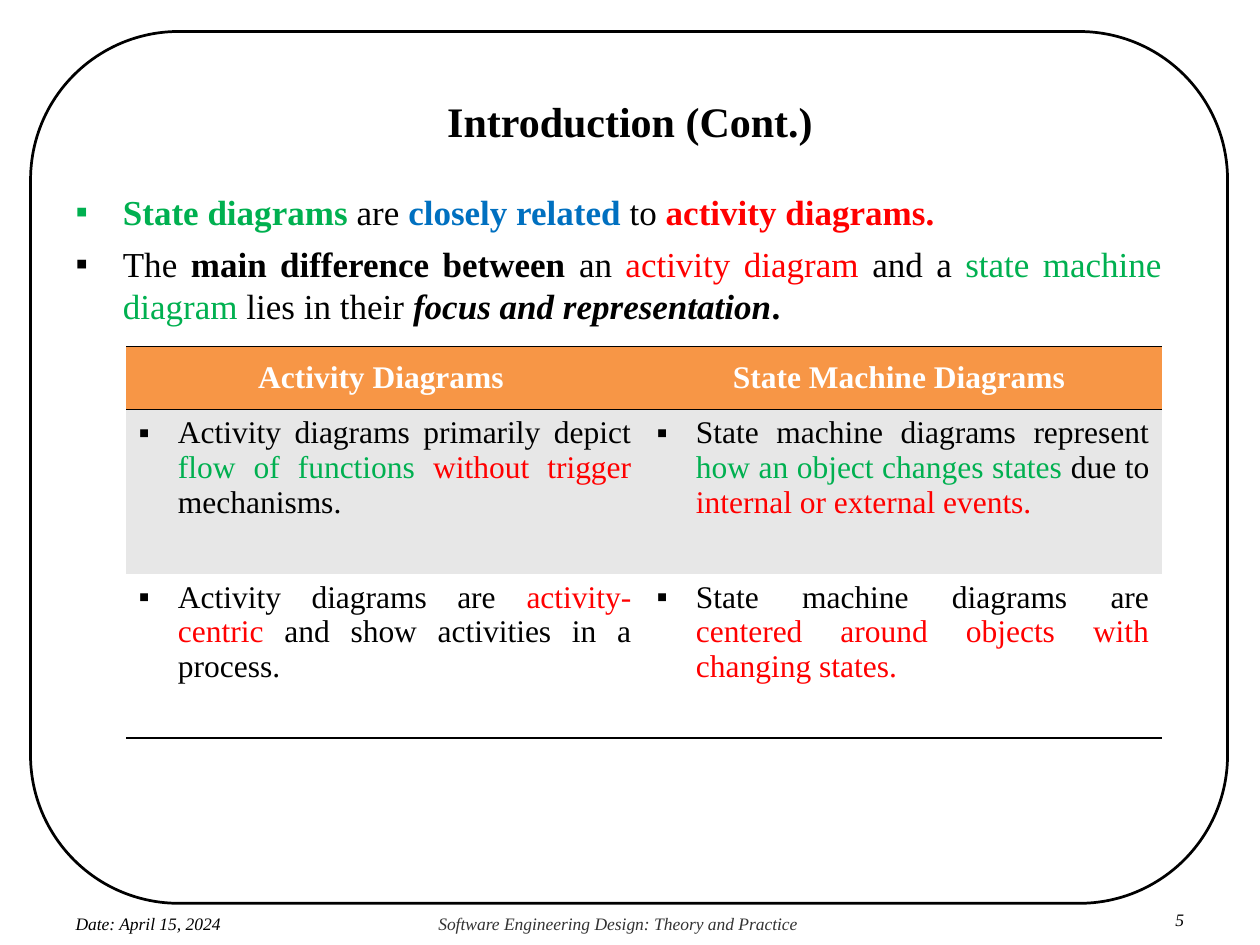
import pptx
import pptx.util
import pptx.dml.color
import pptx.enum.shapes
import pptx.enum.text
import pptx.oxml
import pptx.oxml.ns
import lxml.etree

Pt = pptx.util.Pt
RGB = pptx.dml.color.RGBColor
ALIGN = pptx.enum.text.PP_ALIGN
ANCHOR = pptx.enum.text.MSO_ANCHOR
FONT = "Times New Roman"
BLACK = RGB(0x00, 0x00, 0x00)
WHITE = RGB(0xFF, 0xFF, 0xFF)
GREY = RGB(0x33, 0x33, 0x33)
BAND = RGB(0xE7, 0xE7, 0xE7)
ORANGE = RGB(0xF7, 0x96, 0x46)
GREEN = RGB(0x00, 0xB0, 0x50)
BLUE = RGB(0x00, 0x70, 0xC0)
RED = RGB(0xFF, 0x00, 0x00)


def add_runs(p, size, runs):
    """Add runs given as (text, colour, style), where style may hold b and i."""
    for text, color, style in runs:
        r = p.add_run()
        r.text = text
        r.font.name, r.font.size = FONT, Pt(size)
        r.font.bold, r.font.italic = "b" in style, "i" in style
        r.font.color.rgb = color


def set_bullet(p, indent):
    """Give a justified paragraph a square bullet in the colour of its first run."""
    p.alignment = ALIGN.JUSTIFY
    pPr = p._p.get_or_add_pPr()
    pPr.set("marL", str(Pt(indent)))
    pPr.set("indent", str(-Pt(indent)))
    ns = pptx.oxml.ns.nsdecls("a")
    for xml in (f'<a:buClr {ns}><a:srgbClr val="{p.runs[0].font.color.rgb}"/></a:buClr>',
                f'<a:buFont {ns} typeface="{FONT}"/>',
                f'<a:buChar {ns} char="▪"/>'):
        pPr.append(pptx.oxml.parse_xml(xml))


prs = pptx.Presentation()
prs.slide_width, prs.slide_height = Pt(720), Pt(540)
slide = prs.slides.add_slide(prs.slide_layouts[5])

# Rounded frame
s = slide.shapes.add_shape(pptx.enum.shapes.MSO_SHAPE.ROUNDED_RECTANGLE,
                           Pt(17.5), Pt(18), Pt(684), Pt(498.2))
s.adjustments[0] = 0.17
s.shadow.inherit = False
s.fill.background()
s.line.color.rgb = BLACK
s.line.width = Pt(1.56)

# Title
title = slide.shapes.title
title.left, title.top, title.width, title.height = Pt(112.3), Pt(54.7), Pt(495.4), Pt(28.8)
tf = title.text_frame
tf.margin_left = tf.margin_top = tf.margin_right = tf.margin_bottom = 0
tf.auto_size = pptx.enum.text.MSO_AUTO_SIZE.NONE
tf.vertical_anchor = ANCHOR.TOP
tf.paragraphs[0].alignment = ALIGN.CENTER
add_runs(tf.paragraphs[0], 24, [("Introduction (Cont.)", BLACK, "b")])

# Footer: left, top, width, indent, text, colour
footer = [
    (42.5, 522, 113.8, 0.7, "Date: April 15, 2024", BLACK),
    (249.8, 522, 208, 0.7, "Software Engineering Design: Theory and Practice", GREY),
    (663.8, 519.4, 17.3, 7.9, "5", BLACK),
]
for left, top, width, indent, text, color in footer:
    tf = slide.shapes.add_textbox(Pt(left), Pt(top), Pt(width), Pt(11.8)).text_frame
    tf.margin_left, tf.margin_top, tf.margin_right, tf.margin_bottom = Pt(indent), 0, 0, 0
    tf.word_wrap = True
    p = tf.paragraphs[0]
    p.line_spacing = Pt(11.8)
    add_runs(p, 10, [(text, color, "i")])

# Introductory points
points = [
    [("State diagrams ", GREEN, "b"), ("are ", BLACK, ""), ("closely related ", BLUE, "b"),
     ("to ", BLACK, ""), ("activity diagrams.", RED, "b")],
    [("The ", BLACK, ""), ("main difference between ", BLACK, "b"), ("an ", BLACK, ""),
     ("activity diagram ", RED, ""), ("and a ", BLACK, ""),
     ("state machine diagram", GREEN, ""), (" lies in their ", BLACK, ""),
     ("focus and representation", BLACK, "bi"), (". ", BLACK, "b")],
]
tf = slide.shapes.add_textbox(Pt(43.2), Pt(108.7), Pt(620.6), Pt(77.8)).text_frame
tf.margin_left = tf.margin_top = tf.margin_right = tf.margin_bottom = 0
tf.word_wrap = True
for i, runs in enumerate(points):
    p = tf.add_paragraph() if i else tf.paragraphs[0]
    add_runs(p, 20, runs)
    set_bullet(p, 27)
    p.space_after = Pt(6)

# Comparison table
rows = [
    [[("Activity Diagrams ", WHITE, "b")], [("State Machine Diagrams ", WHITE, "b")]],
    [[("Activity diagrams primarily depict ", BLACK, ""), ("flow of functions ", GREEN, ""),
      ("without trigger", RED, ""), (" mechanisms.", BLACK, "")],
     [("State machine diagrams represent ", BLACK, ""),
      ("how an object changes states ", GREEN, ""), ("due to ", BLACK, ""),
      ("internal or external events. ", RED, "")]],
    [[("Activity diagrams are ", BLACK, ""), ("activity-centric ", RED, ""),
      ("and show activities in a process.", BLACK, "")],
     [("State machine diagrams are ", BLACK, ""),
      ("centered around objects with changing states. ", RED, "")]],
]
heights = [36, 93.8, 93.8]
fills = [ORANGE, BAND, WHITE]
ruled_sides = [("lnT", "lnB"), ("lnT",), ("lnB",)]
table = slide.shapes.add_table(3, 2, Pt(72), Pt(198), Pt(592), Pt(sum(heights))).table
table.first_row = table.horz_banding = False
for col in table.columns:
    col.width = Pt(296)
for i, row in enumerate(rows):
    table.rows[i].height = Pt(heights[i])
    for j, runs in enumerate(row):
        cell = table.cell(i, j)
        tcPr = cell._tc.get_or_add_tcPr()
        for side in ("lnL", "lnR", "lnT", "lnB"):
            ln = lxml.etree.SubElement(tcPr, pptx.oxml.ns.qn(f"a:{side}"), w=str(Pt(0.96)))
            if side in ruled_sides[i]:
                fill = lxml.etree.SubElement(ln, pptx.oxml.ns.qn("a:solidFill"))
                lxml.etree.SubElement(fill, pptx.oxml.ns.qn("a:srgbClr"), val=str(BLACK))
            else:
                lxml.etree.SubElement(ln, pptx.oxml.ns.qn("a:noFill"))
        cell.fill.solid()
        cell.fill.fore_color.rgb = fills[i]
        cell.margin_left = cell.margin_right = Pt(7.2)
        cell.margin_top = cell.margin_bottom = Pt(3.6)
        p = cell.text_frame.paragraphs[0]
        add_runs(p, 18, runs)
        if i == 0:
            cell.vertical_anchor = ANCHOR.MIDDLE
            p.alignment = ALIGN.CENTER
        else:
            set_bullet(p, 22.5)

prs.save("out.pptx")
